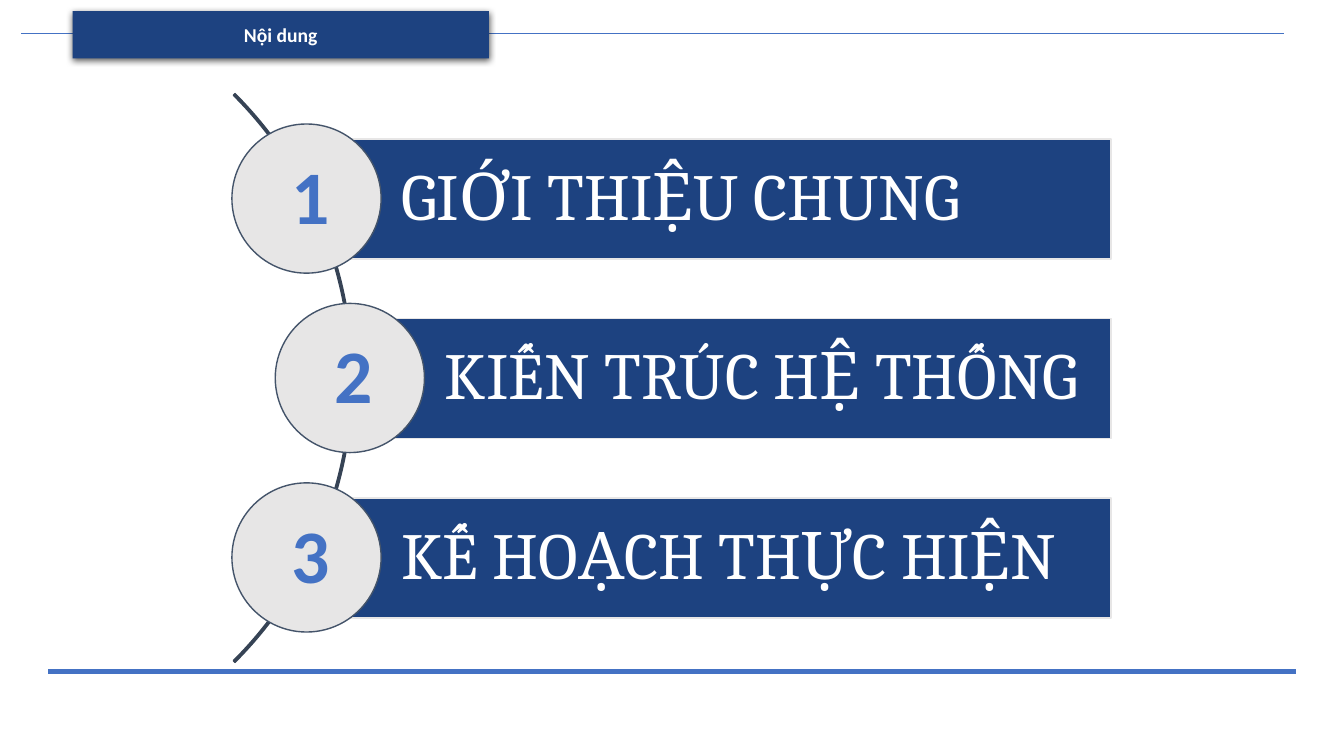
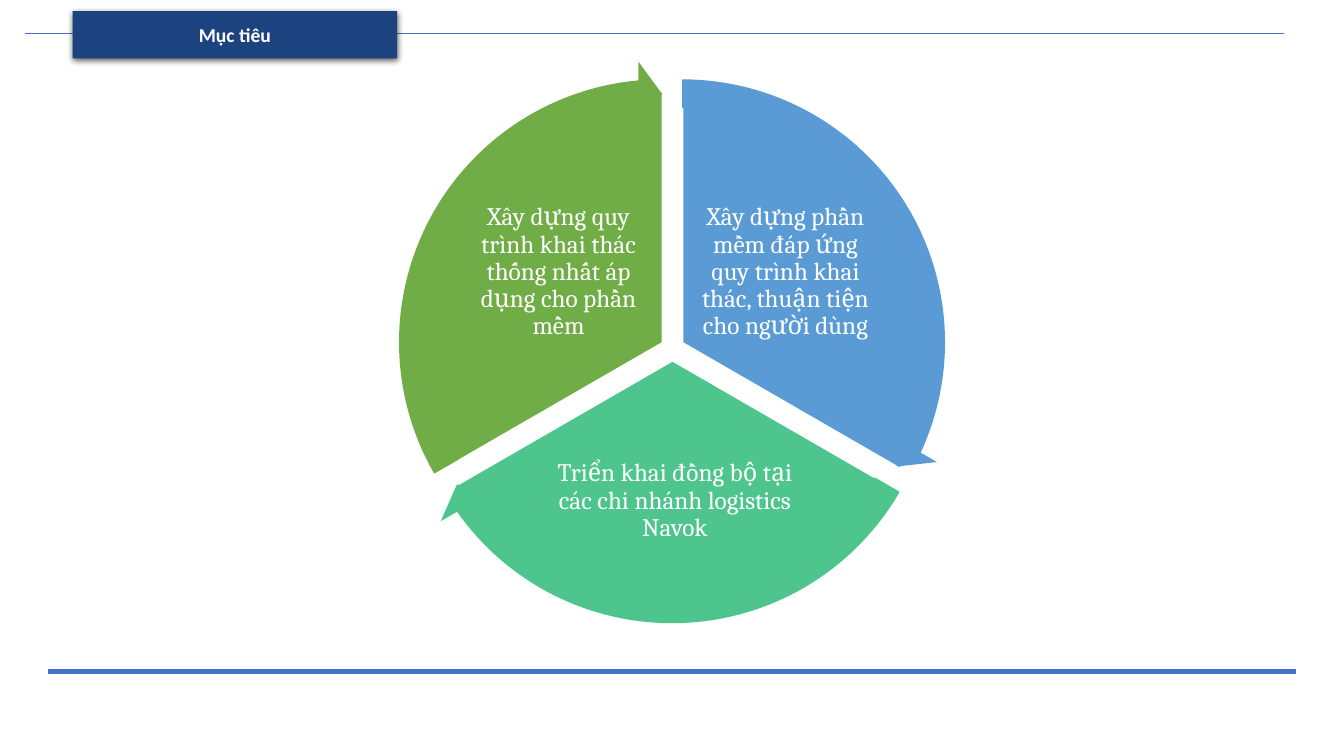
"""Build two slides: a numbered agenda and a three-part cycle of goals."""
import lxml.etree
import pptx
import pptx.dml.color
import pptx.enum.shapes
import pptx.enum.text
import pptx.oxml.ns
import pptx.util

Inches = pptx.util.Inches
Pt = pptx.util.Pt
RGB = pptx.dml.color.RGBColor
KIND = pptx.enum.shapes.MSO_SHAPE
ALIGN = pptx.enum.text.PP_ALIGN
qn = pptx.oxml.ns.qn

NAVY = RGB(0x1D, 0x42, 0x80)
BLUE = RGB(0x44, 0x72, 0xC4)
GREY = RGB(0xE7, 0xE6, 0xE6)
SLATE = RGB(0x44, 0x54, 0x6A)
DARK = RGB(0x36, 0x43, 0x55)
SKY = RGB(0x5B, 0x9B, 0xD5)
MINT = RGB(0x4D, 0xC5, 0x8D)
GREEN = RGB(0x70, 0xAD, 0x47)
WHITE = RGB(0xFF, 0xFF, 0xFF)


def draw(slide, kind, place, fill, line=None, angles=()):
    shape = slide.shapes.add_shape(kind, *map(Inches, place))
    shape.shadow.inherit = False
    shape.fill.solid()
    shape.fill.fore_color.rgb = fill
    if line is None:
        shape.line.fill.background()
    else:
        shape.line.color.rgb = line
        shape.line.width = Pt(1)
    for i, angle in enumerate(angles):
        shape.adjustments[i] = angle
    return shape


def write(shape, text, size, font, color=WHITE, bold=False, align=ALIGN.CENTER,
          inset=(0.1, 0.05, 0.1, 0.05), space=1.0, wrap=True):
    frame = shape.text_frame
    frame.word_wrap = wrap
    frame.vertical_anchor = pptx.enum.text.MSO_ANCHOR.MIDDLE
    (frame.margin_left, frame.margin_top,
     frame.margin_right, frame.margin_bottom) = map(Inches, inset)
    para = frame.paragraphs[0]
    para.alignment = align
    para.line_spacing = space
    run = para.add_run()
    run.text = text
    run.font.size = Pt(size)
    run.font.name = font
    run.font.bold = bold
    run.font.color.rgb = color


deck = pptx.Presentation()
deck.slide_width = Inches(13.33)
deck.slide_height = Inches(7.5)

slides = []
for title, width, start in (("Nội dung", 4.13, 0.21), ("Mục tiêu", 3.22, 0.25)):
    slide = deck.slides.add_slide(deck.slide_layouts[6])
    slides.append(slide)
    for left, right, y, weight in ((start, 12.73, 0.33, 0.5), (0.48, 12.85, 6.66, 3.75)):
        rule = slide.shapes.add_connector(
            pptx.enum.shapes.MSO_CONNECTOR.STRAIGHT,
            Inches(left), Inches(y), Inches(right), Inches(y))
        rule.line.color.rgb = BLUE
        rule.line.width = Pt(weight)
        lxml.etree.SubElement(rule._element.spPr, qn("a:effectLst"))
    tab = draw(slide, KIND.RECTANGLE, (0.72, 0.11, width, 0.47), NAVY)
    write(tab, title, 14, "Calibri", bold=True)
    glow = lxml.etree.SubElement(
        tab._element.spPr.find(qn("a:effectLst")), qn("a:outerShdw"),
        blurRad="57150", dist="19050", dir="5400000", algn="ctr", rotWithShape="0")
    tint = lxml.etree.SubElement(glow, qn("a:srgbClr"), val="000000")
    lxml.etree.SubElement(tint, qn("a:alpha"), val="63000")

agenda, goals = slides

draw(agenda, KIND.BLOCK_ARC, (-4.48, -0.24, 7.98, 7.98), DARK, DARK, (189, 27, 0.003))
SIZE = 1.48
EDGE = 11.02
topics = ((2.3, "GIỚI THIỆU CHUNG"), (2.73, "KIẾN TRÚC HỆ THỐNG"), (2.3, "KẾ HOẠCH THỰC HIỆN"))
for i, (x, topic) in enumerate(topics):
    y = 1.23 + 1.78 * i
    left = x + SIZE / 2
    bar = draw(agenda, KIND.RECTANGLE, (left, y + 0.15, EDGE - left, 1.19), NAVY, GREY)
    write(bar, topic, 47, "Cambria", align=ALIGN.LEFT,
          inset=(0.94, 0.13, 0.13, 0.13), space=0.9)
    draw(agenda, KIND.OVAL, (x, y, SIZE, SIZE), GREY, SLATE)
    label = agenda.shapes.add_textbox(*map(Inches, (x + 0.47, y + 0.19, 0.62, 1.01)))
    write(label, str(i + 1), 54, "Calibri", BLUE, bold=True, wrap=False)

parts = (
    (4.28, 0.91, SKY, (162, 18), (14.725, 161.994), (6.9, 1.96, 1.78, 1.48),
     "Xây dựng phần mềm đáp ứng quy trình khai thác, thuận tiện cho người dùng"),
    (4.18, 1.09, MINT, (18, 90), (86.72, 18.005), (5.36, 4.32, 2.67, 1.3),
     "Triển khai đồng bộ tại các chi nhánh logistics Navok"),
    (4.08, 0.91, GREEN, (90, 162), (158.73, 90), (4.65, 1.96, 1.78, 1.48),
     "Xây dựng quy trình khai thác thống nhất áp dụng cho phần mềm"),
)
for x, y, color, span, turn, place, text in parts:
    draw(goals, KIND.PIE, (x, y, 4.98, 4.98), color, WHITE, span)
    label = goals.shapes.add_textbox(*map(Inches, place))
    write(label, text, 18, "Cambria", inset=(0.03,) * 4, space=0.9)
for x, y, color, span, turn, place, text in parts:
    draw(goals, KIND.CIRCULAR_ARROW, (x - 0.31, y - 0.31, 5.59, 5.59), color,
         angles=(0.051, 3.275, *turn, 0.059))

deck.save("out.pptx")
